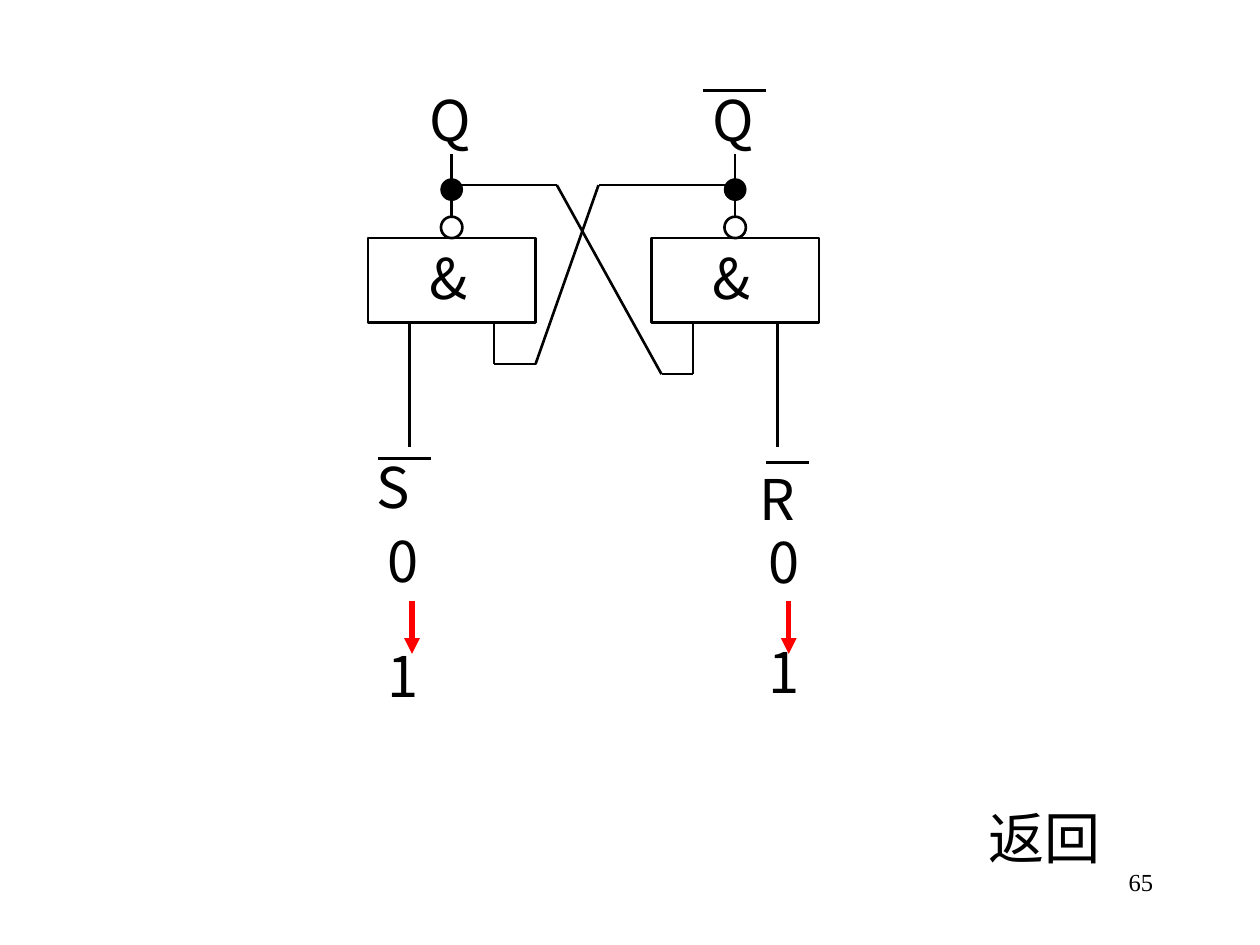
from lxml import etree
from pptx import Presentation
from pptx.dml.color import RGBColor
from pptx.enum.shapes import MSO_CONNECTOR, MSO_SHAPE
from pptx.enum.text import PP_ALIGN
from pptx.oxml.ns import qn
from pptx.util import Inches, Pt

BLACK = RGBColor(0, 0, 0)
RED = RGBColor(255, 0, 0)
STRAIGHT = MSO_CONNECTOR.STRAIGHT
RECTANGLE, OVAL = MSO_SHAPE.RECTANGLE, MSO_SHAPE.OVAL
LEFT, RIGHT = PP_ALIGN.LEFT, PP_ALIGN.RIGHT
SYMBOL_FONT = "Noto Sans CJK SC"
GATE_WIDTH, GATE_HEIGHT, BUBBLE = 1.33, 0.67, 0.17


def add_line(slide, start, end, color=BLACK, weight=1.5):
    """Draw a shadowless straight line between two points in inches."""
    line = slide.shapes.add_connector(STRAIGHT, *map(Inches, (*start, *end)))
    line.line.color.rgb = color
    line.line.width = Pt(weight)
    etree.SubElement(line._element.spPr, qn("a:effectLst"))
    return line


def add_arrow(slide, start, end):
    """Draw a red arrow that points at its end."""
    arrow = add_line(slide, start, end, RED, 3)
    etree.SubElement(arrow.line._get_or_add_ln(), qn("a:tailEnd"), type="triangle")


def add_outline(slide, kind, left, top, width, height, weight=1.5):
    """Draw an unfilled black outline."""
    outline = slide.shapes.add_shape(kind, *map(Inches, (left, top, width, height)))
    outline.shadow.inherit = False
    outline.fill.background()
    outline.line.color.rgb = BLACK
    outline.line.width = Pt(weight)
    return outline


def add_label(slide, text, left, top, width=0.47, height=0.64,
              font=SYMBOL_FONT, size=32, align=LEFT):
    """Write one line of black text."""
    frame = slide.shapes.add_textbox(*map(Inches, (left, top, width, height))).text_frame
    frame.word_wrap = False if align == LEFT else True
    frame.text = text
    paragraph = frame.paragraphs[0]
    paragraph.alignment = align
    run_font = paragraph.runs[0].font
    run_font.name = font
    run_font.size = Pt(size)
    run_font.color.rgb = BLACK


def add_gate(slide, left, top, input_ends):
    """Draw a NAND gate with its inputs, output, junction and labels."""
    bubble_left = left + 0.58
    output_x = bubble_left + BUBBLE / 2
    add_outline(slide, RECTANGLE, left, top, GATE_WIDTH, GATE_HEIGHT)
    bubble = add_outline(slide, OVAL, bubble_left, top - BUBBLE, BUBBLE, BUBBLE)
    output = add_line(slide, (output_x, top - BUBBLE), (output_x, top - 0.67))
    output.begin_connect(bubble, 0)
    for offset, end in zip((0.33, 1.0), input_ends):
        add_line(slide, (left + offset, top + GATE_HEIGHT), (left + offset, end))
    junction = add_outline(slide, OVAL, bubble_left, top - 0.47, BUBBLE, BUBBLE, 0.75)
    junction.fill.solid()
    junction.fill.fore_color.rgb = BLACK
    add_label(slide, "Q", left + 0.39, top - 1.26)
    add_label(slide, "&", left + 0.39, top - 0.01)


def add_feedback(slide, points):
    """Join the points of a feedback path with straight lines."""
    for start, end in zip(points, points[1:]):
        add_line(slide, start, end)


def add_input(slide, name, name_left, name_top, bar, digit_left, digit_tops, arrow_x):
    """Label an inverted input and show its change from 0 to 1."""
    bar_left, bar_right, bar_top = bar
    add_label(slide, name, name_left, name_top)
    add_line(slide, (bar_left, bar_top), (bar_right, bar_top))
    for digit, top in zip("01", digit_tops):
        add_label(slide, digit, digit_left, top)
    add_arrow(slide, (arrow_x, 4.77), (arrow_x, 5.19))


def add_footer(slide):
    """Write the return label and the page number."""
    add_label(slide, "返回", 7.75, 6.33, 1.09, font="Montserrat")
    add_label(slide, "65", 7.17, 6.83, 2.08, 0.5, "Times New Roman", 14, RIGHT)


def main():
    """Build the latch slide and save it."""
    presentation = Presentation()
    presentation.slide_width, presentation.slide_height = Inches(10), Inches(7.5)
    slide = presentation.slides.add_slide(presentation.slide_layouts[6])
    add_feedback(slide, [(3.58, 1.47), (4.42, 1.47), (5.25, 2.97), (5.5, 2.97)])
    add_feedback(slide, [(5.83, 1.47), (4.75, 1.47), (4.25, 2.89), (3.92, 2.89)])
    add_gate(slide, 2.92, 1.89, (3.55, 2.89))
    add_gate(slide, 5.17, 1.89, (2.97, 3.55))
    add_line(slide, (5.58, 0.72), (6.08, 0.72))
    add_input(slide, "S", 2.89, 3.54, (3, 3.42, 3.64), 2.98, (4.13, 5.04), 3.27)
    add_input(slide, "R", 5.93, 3.64, (6.08, 6.42, 3.67), 6, (4.14, 5.01), 6.26)
    add_footer(slide)
    presentation.save("out.pptx")


if __name__ == "__main__":
    main()
